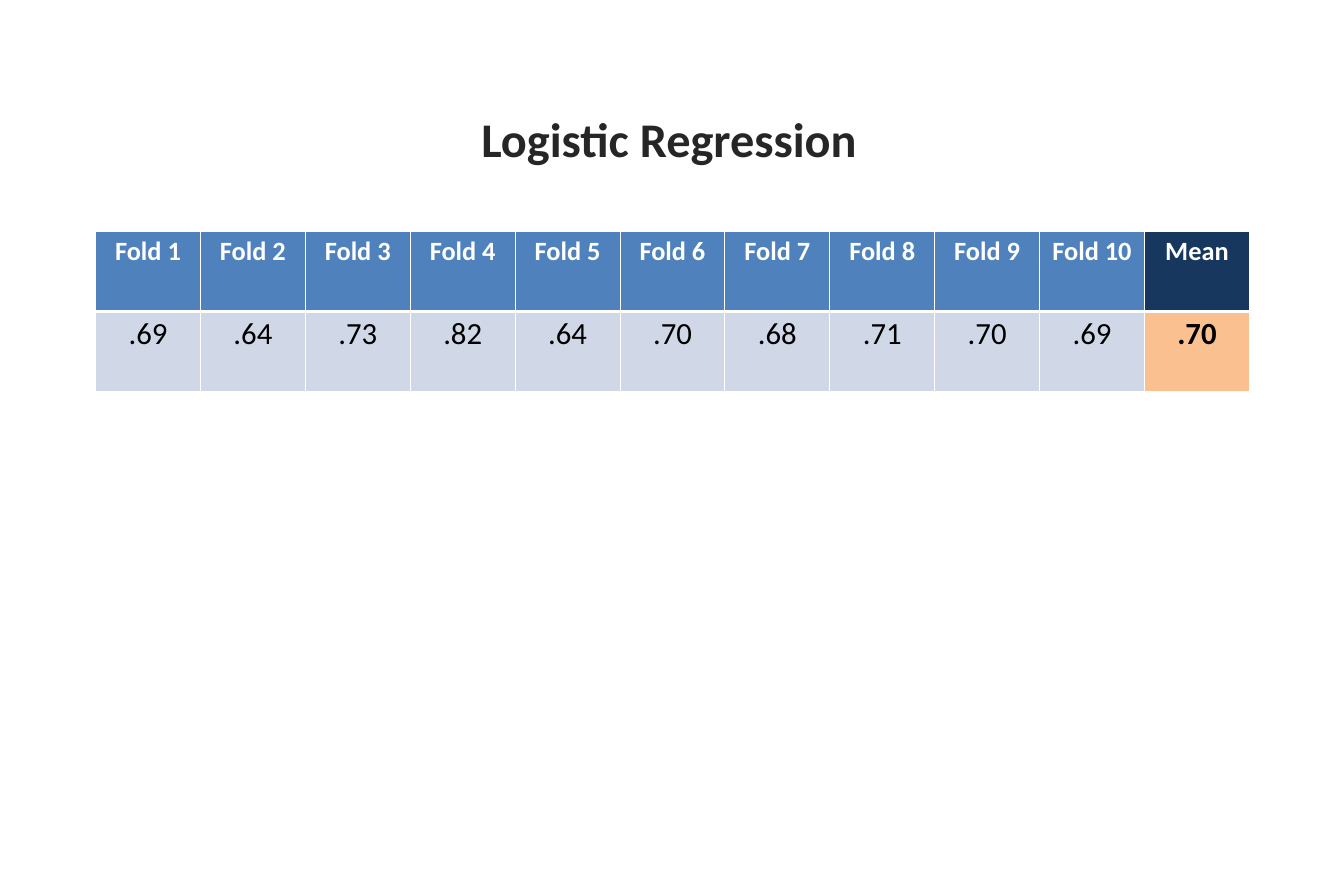
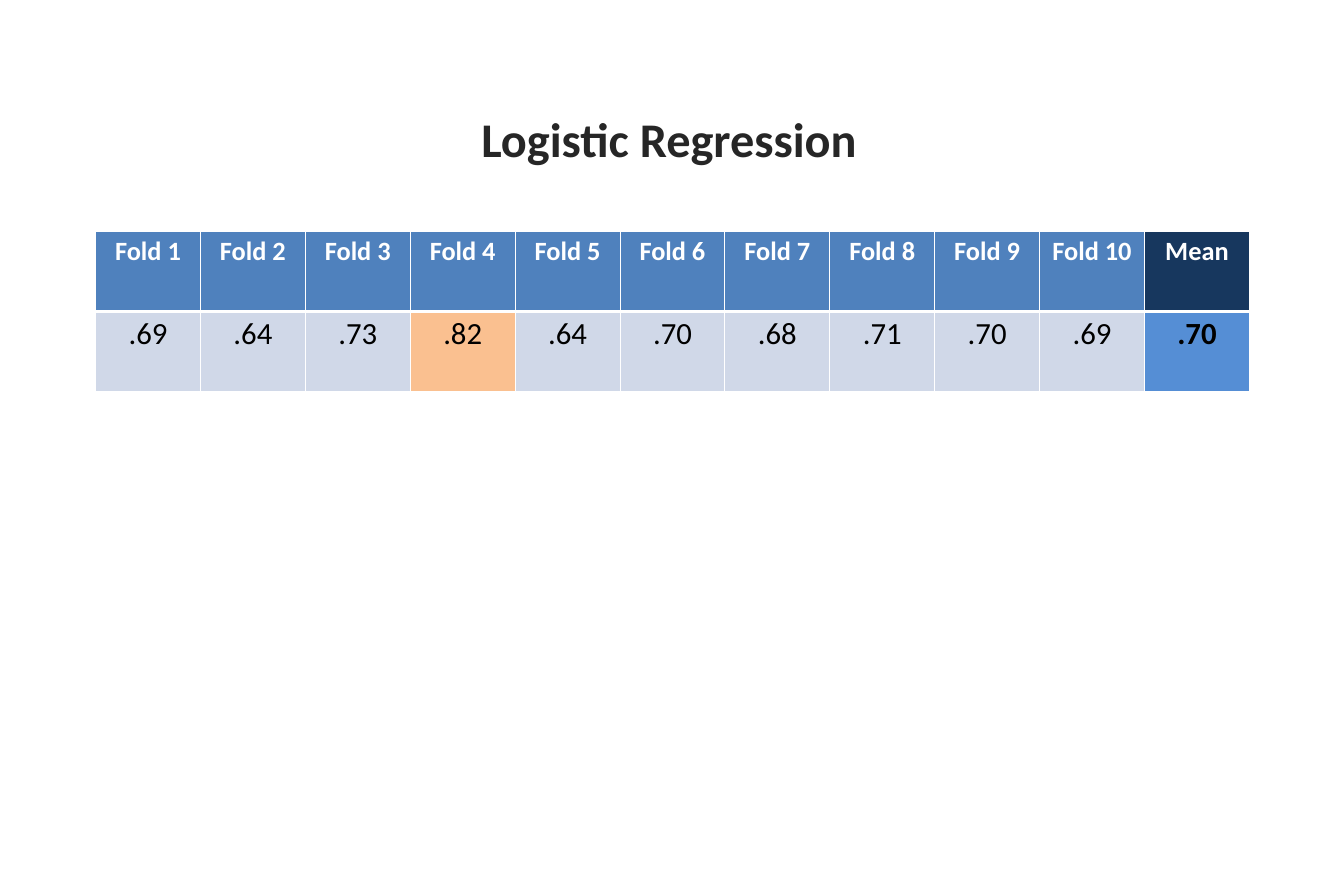
import pptx
import pptx.util
import pptx.dml.color
import pptx.enum.text
import lxml.etree
from pptx.dml.color import RGBColor
from pptx.oxml.ns import qn
from pptx.util import Cm, Pt

WHITE = RGBColor(0xFF, 0xFF, 0xFF)
BLACK = RGBColor(0x00, 0x00, 0x00)
CHARCOAL = RGBColor(0x26, 0x26, 0x26)
BLUE = RGBColor(0x4F, 0x81, 0xBD)
NAVY = RGBColor(0x17, 0x37, 0x5E)
PALE_BLUE = RGBColor(0xD0, 0xD8, 0xE8)
BRIGHT_BLUE = RGBColor(0x55, 0x8E, 0xD5)
ORANGE = RGBColor(0xFA, 0xC0, 0x90)
FONT = "Calibri"

headings = [f"Fold {fold}" for fold in range(1, 11)] + ["Mean"]
scores = [".69", ".64", ".73", ".82", ".64", ".70", ".68", ".71", ".70", ".69", ".70"]
mean_column = len(headings) - 1
best_column = scores.index(".82")
score_highlights = [
    {mean_column: ORANGE},
    {best_column: ORANGE, mean_column: BRIGHT_BLUE},
]
column_width = Cm(3.37)
row_height = Cm(2.57)


def set_font(paragraph, size, color, bold):
    paragraph.font.name = FONT
    paragraph.font.size = Pt(size)
    paragraph.font.color.rgb = color
    paragraph.font.bold = bold


def style_cell(cell, fill_color, border_widths):
    properties = cell._tc.get_or_add_tcPr()
    for side, width in border_widths.items():
        border = lxml.etree.SubElement(properties, qn(f"a:ln{side}"), w=str(Pt(width)))
        border_fill = lxml.etree.SubElement(border, qn("a:solidFill"))
        lxml.etree.SubElement(border_fill, qn("a:srgbClr"), val=str(WHITE))
    cell.fill.solid()
    cell.fill.fore_color.rgb = fill_color


deck = pptx.Presentation()
deck.slide_width = Cm(43.18)
deck.slide_height = Cm(27.94)

for highlights in score_highlights:
    slide = deck.slides.add_slide(deck.slide_layouts[5])

    title = slide.shapes.title
    title.left, title.top, title.width, title.height = Cm(15.21), Cm(3.38), Cm(12.75), Cm(2.13)
    title.text_frame.text = "Logistic Regression"
    title.text_frame.word_wrap = False
    title.text_frame.auto_size = pptx.enum.text.MSO_AUTO_SIZE.SHAPE_TO_FIT_TEXT
    title.text_frame.vertical_anchor = pptx.enum.text.MSO_ANCHOR.TOP
    title_line = title.text_frame.paragraphs[0]
    title_line.alignment = pptx.enum.text.PP_ALIGN.LEFT
    set_font(title_line, 44, CHARCOAL, True)

    fold_table = slide.shapes.add_table(
        2, len(headings), Cm(3.07), Cm(7.42), column_width * len(headings), row_height * 2
    ).table
    for column, (heading, score) in enumerate(zip(headings, scores)):
        is_mean = column == mean_column
        heading_cell = fold_table.cell(0, column)
        score_cell = fold_table.cell(1, column)
        style_cell(heading_cell, NAVY if is_mean else BLUE, {"L": 1, "R": 1, "T": 1, "B": 3})
        style_cell(score_cell, highlights.get(column, PALE_BLUE), {"L": 1, "R": 1, "T": 3, "B": 1})
        for cell, text, size, color, bold in (
            (heading_cell, heading, 24, WHITE, True),
            (score_cell, score, 28, BLACK, is_mean),
        ):
            cell.text = text
            paragraph = cell.text_frame.paragraphs[0]
            paragraph.alignment = pptx.enum.text.PP_ALIGN.CENTER
            set_font(paragraph, size, color, bold)

deck.save("out.pptx")
